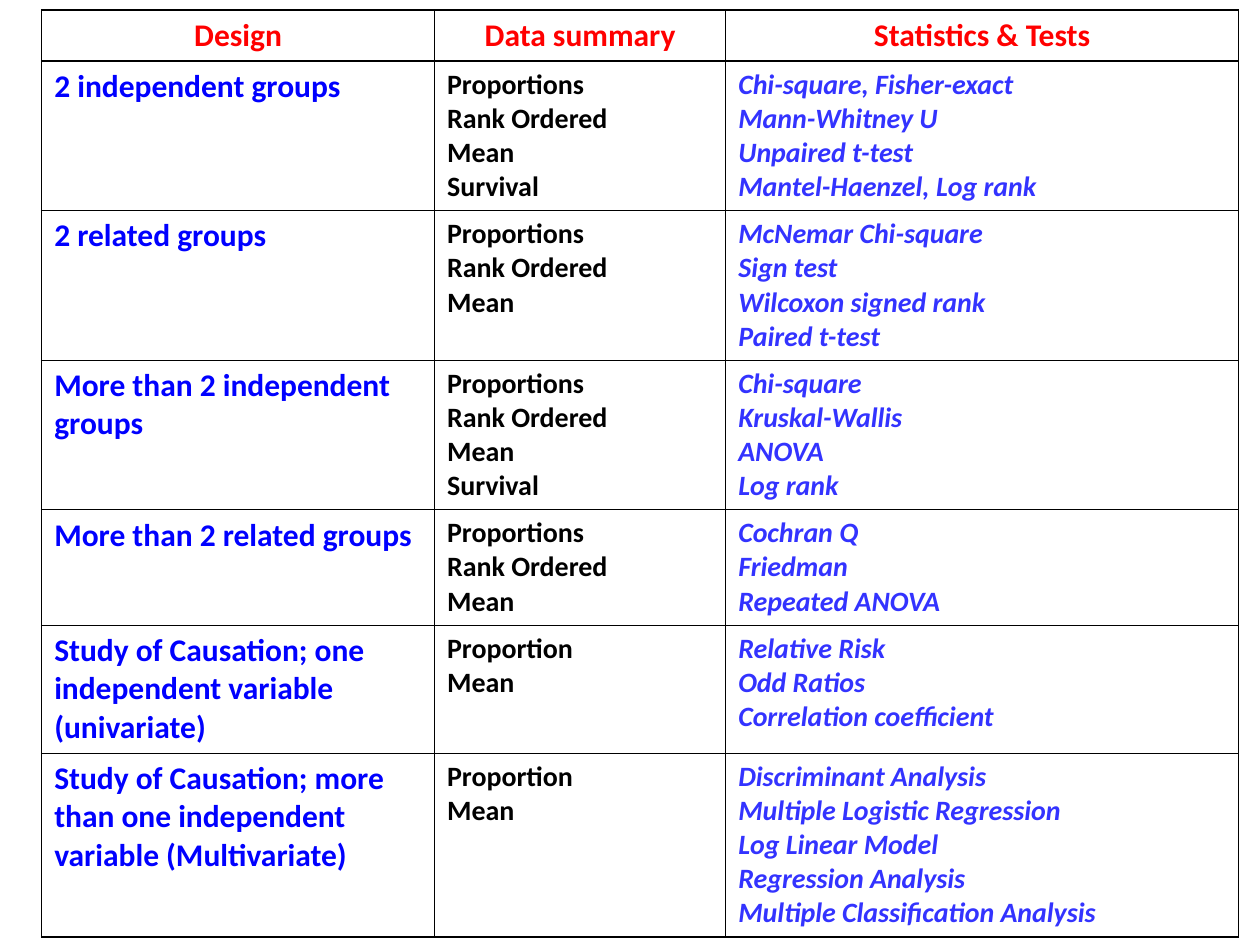
from lxml.etree import SubElement
from pptx import Presentation
from pptx.dml.color import RGBColor
from pptx.enum.text import PP_ALIGN as Align
from pptx.oxml.ns import qn
from pptx.util import Cm, Pt

RED = RGBColor(0xFF, 0x00, 0x00)
BLUE = RGBColor(0x00, 0x00, 0xFF)
VIOLET = RGBColor(0x33, 0x33, 0xFF)
BLACK = RGBColor(0x00, 0x00, 0x00)
FONT = "Calibri"
THIN, THICK = Pt(0.45), Pt(0.96)

# Table content: one list of lines per cell
HEADERS = ["Design", "Data summary", "Statistics & Tests"]
ROWS = [
    ("2 independent groups",
     ["Proportions", "Rank Ordered", "Mean", "Survival"],
     ["Chi-square, Fisher-exact", "Mann-Whitney U", "Unpaired t-test",
      "Mantel-Haenzel, Log rank"]),
    ("2 related groups",
     ["Proportions", "Rank Ordered", "Mean"],
     ["McNemar Chi-square", "Sign test", "Wilcoxon signed rank",
      "Paired t-test"]),
    ("More than 2 independent groups",
     ["Proportions", "Rank Ordered", "Mean", "Survival"],
     ["Chi-square", "Kruskal-Wallis", "ANOVA", "Log rank"]),
    ("More than 2 related groups",
     ["Proportions", "Rank Ordered", "Mean"],
     ["Cochran Q", "Friedman", "Repeated ANOVA"]),
    ("Study of Causation; one independent variable (univariate)",
     ["Proportion", "Mean"],
     ["Relative Risk", "Odd Ratios", "Correlation coefficient"]),
    ("Study of Causation; more than one independent variable (Multivariate)",
     ["Proportion", "Mean"],
     ["Discriminant Analysis", "Multiple Logistic Regression",
      "Log Linear Model", "Regression Analysis",
      "Multiple Classification Analysis"]),
]
COLUMN_WIDTHS = [7.92, 5.87, 10.34]
ROW_HEIGHTS = [1.02, 3, 2.97, 2.87, 2.29, 2.54, 3.66]


def write(frame, lines, size=16, color=BLACK, italic=False, align=Align.LEFT):
    """Fill a text frame with one bold paragraph per line."""
    for number, line in enumerate(lines):
        para = frame.paragraphs[0] if number == 0 else frame.add_paragraph()
        para.alignment = align
        span = para.add_run()
        span.text = line
        font = span.font
        font.name, font.size, font.bold = FONT, Pt(size), True
        font.italic = italic
        font.color.rgb = color


class TablePage:
    header_style = dict(size=18, color=RED, align=Align.CENTER)
    column_styles = [dict(size=18, color=BLUE), dict(),
                     dict(color=VIOLET, italic=True)]

    def __init__(self, deck):
        self.page = deck.slides.add_slide(deck.slide_layouts[6])

    def border(self, cell, side, width):
        line = SubElement(cell._tc.get_or_add_tcPr(), qn(f"a:ln{side}"),
                          w=str(width))
        fill = SubElement(line, qn("a:solidFill"))
        SubElement(fill, qn("a:srgbClr"), val=str(BLACK))

    def cell(self, cell, lines, widths, **style):
        write(cell.text_frame, lines, **style)
        for side, width in widths.items():
            self.border(cell, side, width)
        cell.fill.background()

    def table(self, left, top, headers, rows):
        last_row, last_column = len(rows), len(headers) - 1
        table = self.page.shapes.add_table(
            last_row + 1, last_column + 1, Cm(left), Cm(top),
            Cm(sum(COLUMN_WIDTHS)), Cm(sum(ROW_HEIGHTS))).table
        table.first_row = table.horz_banding = False
        for column, width in zip(table.columns, COLUMN_WIDTHS):
            column.width = Cm(width)
        for row, height in zip(table.rows, ROW_HEIGHTS):
            row.height = Cm(height)

        # Thick lines run around the table and under the header
        for r, entries in enumerate([headers, *rows]):
            for c, entry in enumerate(entries):
                lines = [entry] if isinstance(entry, str) else entry
                style = self.column_styles[c] if r else self.header_style
                widths = {
                    "L": THICK if c == 0 else THIN,
                    "R": THICK if c == last_column else THIN,
                    "T": THICK if r <= 1 else THIN,
                    "B": THICK if r in (0, last_row) else THIN,
                }
                self.cell(table.cell(r, c), lines, widths, **style)


def main():
    deck = Presentation()
    deck.slide_width, deck.slide_height = Cm(25.4), Cm(19.05)
    TablePage(deck).table(0.84, 0.2, HEADERS, ROWS)
    deck.save("out.pptx")


if __name__ == "__main__":
    main()
